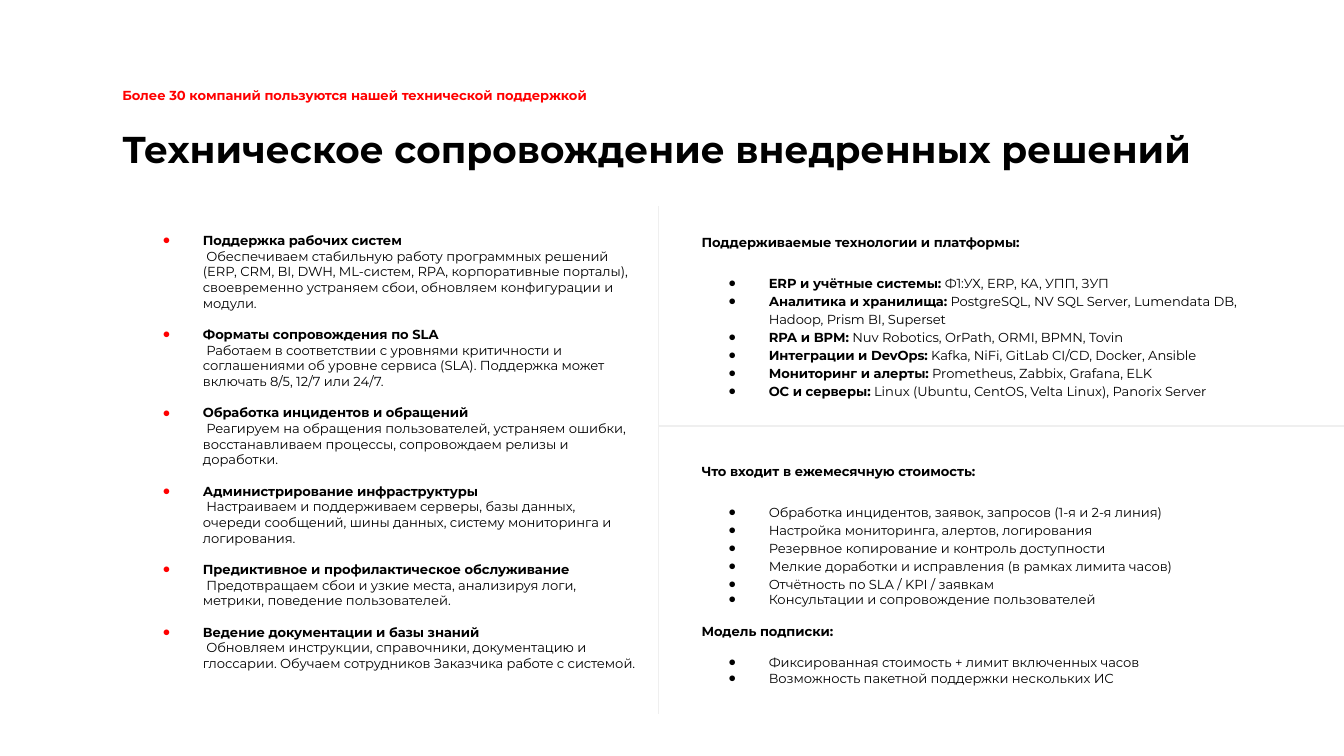
import copy

import pptx
import pptx.dml.color
import pptx.enum.shapes
import pptx.enum.text
import pptx.oxml.ns
import pptx.util
from lxml import etree

Inches = pptx.util.Inches
Pt = pptx.util.Pt
qn = pptx.oxml.ns.qn

COLORS = {"text": "000000", "accent": "FF0000", "rule": "EFEFEF"}
FONT = "Montserrat"
BULLET_FONT = "Arial"
BLANK_LINE = 8.4

SERVICES = [
    ("Поддержка рабочих систем",
     " Обеспечиваем стабильную работу программных решений (ERP, CRM, BI, DWH, ML-систем, RPA, "
     "корпоративные порталы), своевременно устраняем сбои, обновляем конфигурации и модули."),
    ("Форматы сопровождения по SLA",
     " Работаем в соответствии с уровнями критичности и соглашениями об уровне сервиса (SLA). "
     "Поддержка может включать 8/5, 12/7 или 24/7."),
    ("Обработка инцидентов и обращений",
     " Реагируем на обращения пользователей, устраняем ошибки, восстанавливаем процессы, "
     "сопровождаем релизы и доработки."),
    ("Администрирование инфраструктуры",
     " Настраиваем и поддерживаем серверы, базы данных, очереди сообщений, шины данных, "
     "систему мониторинга и логирования."),
    ("Предиктивное и профилактическое обслуживание",
     " Предотвращаем сбои и узкие места, анализируя логи, метрики, поведение пользователей."),
    ("Ведение документации и базы знаний",
     " Обновляем инструкции, справочники, документацию и глоссарии. "
     "Обучаем сотрудников Заказчика работе с системой."),
]
PLATFORMS = [
    ("ERP и учётные системы:", " Ф1:УХ, ERP, КА, УПП, ЗУП"),
    ("Аналитика и хранилища:",
     " PostgreSQL, NV SQL Server, Lumendata DB, Hadoop, Prism BI, Superset"),
    ("RPA и BPM:", " Nuv Robotics, OrPath, ORMI, BPMN, Tovin"),
    ("Интеграции и DevOps:", " Kafka, NiFi, GitLab CI/CD, Docker, Ansible"),
    ("Мониторинг и алерты:", " Prometheus, Zabbix, Grafana, ELK"),
    ("ОС и серверы:", " Linux (Ubuntu, CentOS, Velta Linux), Panorix Server"),
]
MONTHLY = [
    "Обработка инцидентов, заявок, запросов (1-я и 2-я линия)",
    "Настройка мониторинга, алертов, логирования",
    "Резервное копирование и контроль доступности",
    "Мелкие доработки и исправления (в рамках лимита часов)",
    "Отчётность по SLA / KPI / заявкам",
    "Консультации и сопровождение пользователей",
]
SUBSCRIPTION = [
    "Фиксированная стоимость + лимит включенных часов",
    "Возможность пакетной поддержки нескольких ИС",
]


def add_text(paragraph, text, size=7, bold=False, color="text"):
    run = paragraph.add_run()
    run.text = text
    run.font.name = FONT
    run.font.size = Pt(size)
    run.font.bold = bold
    run.font.color.rgb = pptx.dml.color.RGBColor.from_string(COLORS[color])
    return run


class SlideBuilder:
    """Holds the slide and the style shared by its elements."""

    def __init__(self, slide):
        self.slide = slide

    def frame(self, shape, box, insets, anchor=pptx.enum.text.MSO_ANCHOR.TOP):
        """Places a text shape and returns its emptied text frame."""
        shape.left, shape.top, shape.width, shape.height = map(Inches, box)
        text_frame = shape.text_frame
        text_frame.word_wrap = True
        text_frame.auto_size = pptx.enum.text.MSO_AUTO_SIZE.NONE
        text_frame.vertical_anchor = anchor
        (text_frame.margin_left, text_frame.margin_top,
         text_frame.margin_right, text_frame.margin_bottom) = map(Inches, insets)
        return text_frame

    def paragraph(self, text_frame, before=0, spacing=1.0, bullet=None):
        """Returns the next paragraph; bullet names the colour of its dot."""
        paragraph = text_frame.paragraphs[-1]
        if paragraph.runs:
            paragraph = text_frame.add_paragraph()
        paragraph.alignment = pptx.enum.text.PP_ALIGN.LEFT
        paragraph.line_spacing = spacing
        paragraph.space_before = Pt(before)
        paragraph.space_after = Pt(0)
        props = paragraph._p.get_or_add_pPr()
        props.set("marL", str(Inches(0.5 if bullet else 0)))
        props.set("indent", str(Inches(-0.3 if bullet else 0)))
        if bullet:
            fill = etree.SubElement(props, qn("a:buClr"))
            etree.SubElement(fill, qn("a:srgbClr"), val=COLORS[bullet])
            etree.SubElement(props, qn("a:buFont"), typeface=BULLET_FONT)
            etree.SubElement(props, qn("a:buChar"), char="●")
        else:
            etree.SubElement(props, qn("a:buNone"))
        return paragraph

    def title(self, text):
        text_frame = self.frame(self.slide.shapes.title, (0.91, 0.75, 8.14, 0.72),
                                (0, 0.07, 0.07, 0.04), pptx.enum.text.MSO_ANCHOR.MIDDLE)
        add_text(self.paragraph(text_frame, spacing=0.9), text, size=20, bold=True)

    def kicker(self, text):
        box = (0.91, 0.59, 4.78, 0.19)
        shape = self.slide.shapes.add_textbox(*map(Inches, box))
        text_frame = self.frame(shape, box, (0, 0.04, 0.07, 0.04))
        add_text(self.paragraph(text_frame, spacing=1.2), text, bold=True, color="accent")

    def body(self, index, box):
        return self.frame(self.slide.placeholders[index], box, (0.1,) * 4)

    def heading(self, text_frame, text, **layout):
        add_text(self.paragraph(text_frame, **layout), text, bold=True)

    def service(self, text_frame, name, details, before):
        paragraph = self.paragraph(text_frame, before, bullet="accent")
        name_run = add_text(paragraph, name, bold=True)
        paragraph.add_line_break()
        paragraph._p[-1].append(copy.deepcopy(name_run.font._rPr))
        add_text(paragraph, details)

    def item(self, text_frame, text, label="", **layout):
        paragraph = self.paragraph(text_frame, bullet="text", **layout)
        if label:
            add_text(paragraph, label, bold=True)
        add_text(paragraph, text)

    def rule(self, *ends):
        line = self.slide.shapes.add_connector(
            pptx.enum.shapes.MSO_CONNECTOR.STRAIGHT, *map(Inches, ends))
        line.line.color.rgb = pptx.dml.color.RGBColor.from_string(COLORS["rule"])
        line.line.width = Pt(0.75)
        etree.SubElement(line._element.spPr, qn("a:effectLst"))


def main():
    deck = pptx.Presentation()
    deck.slide_width = Inches(10)
    deck.slide_height = deck.slide_width * 9 // 16
    two_content = deck.slide_layouts[3]
    builder = SlideBuilder(deck.slides.add_slide(two_content))

    builder.title("Техническое сопровождение внедренных решений")
    builder.kicker("Более 30 компаний пользуются нашей технической поддержкой")

    services = builder.body(1, (0.91, 1.63, 3.92, 3.74))
    for number, (name, details) in enumerate(SERVICES):
        builder.service(services, name, details, BLANK_LINE if number else 0)

    terms = builder.body(2, (5.12, 1.63, 4.44, 3.9))
    builder.heading(terms, "Поддерживаемые технологии и платформы:", spacing=1.15)
    for number, (label, names) in enumerate(PLATFORMS):
        builder.item(terms, names, label, before=0 if number else 12, spacing=1.15)
    builder.heading(terms, "Что входит в ежемесячную стоимость:", before=33.5, spacing=1.15)
    for number, text in enumerate(MONTHLY):
        builder.item(terms, text, before=0 if number else 12,
                     spacing=1 if text == MONTHLY[-1] else 1.15)
    builder.heading(terms, "Модель подписки:", before=BLANK_LINE)
    for number, text in enumerate(SUBSCRIPTION):
        builder.item(terms, text, before=0 if number else BLANK_LINE)

    builder.rule(4.9, 5.31, 4.9, 1.53)
    builder.rule(4.9, 3.17, 10, 3.17)
    deck.save("out.pptx")


if __name__ == "__main__":
    main()
